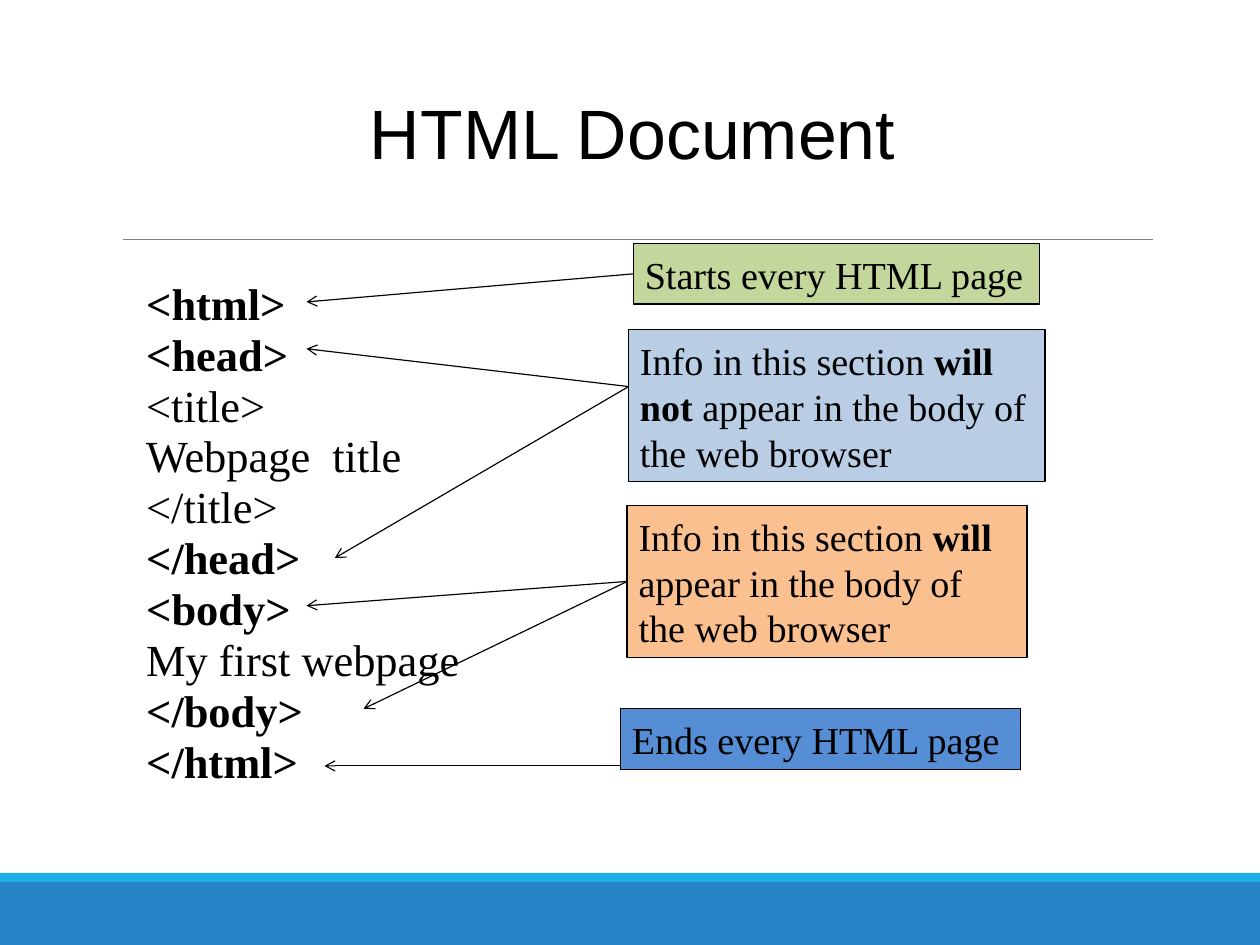
from pptx import Presentation
from pptx.dml.color import RGBColor
from pptx.enum.shapes import MSO_CONNECTOR, MSO_SHAPE
from pptx.enum.text import MSO_ANCHOR, MSO_AUTO_SIZE, PP_ALIGN
from pptx.oxml.ns import qn
from pptx.util import Cm, Pt
from lxml.etree import SubElement

COLORS = {
    "text": "000000", "rule": "7F7F7F", "band": "2683C6", "stripe": "1CADE4",
    "start": "C3D69B", "head": "B9CDE5", "body": "FAC090", "end": "558ED5",
}
WIDTH, HEIGHT = 28, 21
SERIF = "Times New Roman"

HTML_LINES = [
    ("<html>", True), ("<head>", True), ("<title>", False),
    ("Webpage  title", False), ("</title>", False), ("</head>", True),
    ("<body>", True), ("My first webpage", False), ("</body>", True),
    ("</html>", True),
]

# Box, colour, (text, bold) pieces, arrow start height (None: middle), arrow tips
NOTES = [
    ((14.08, 5.41, 9.02, 1.35), "start", [("Starts every HTML page", False)],
     None, [(6.81, 6.71)]),
    ((13.97, 7.32, 9.25, 3.38), "head",
     [("Info in this section ", False), ("will not ", True),
      ("appear in the body of the web browser", False)],
     8.59, [(6.81, 7.75), (7.44, 12.4)]),
    ((13.94, 11.23, 8.89, 3.38), "body",
     [("Info in this section ", False), ("will", True),
      (" appear in the body of the web browser", False)],
     None, [(6.81, 13.46), (8.08, 15.75)]),
    ((13.79, 15.75, 8.89, 1.35), "end", [("Ends every HTML page", False)],
     17.02, [(7.21, 17.02)]),
]


def rgb(name):
    return RGBColor.from_string(COLORS[name])


def style_run(run, font, size, bold=False):
    run.font.name = font
    run.font.size = Pt(size)
    run.font.bold = bold
    run.font.color.rgb = rgb("text")


def set_insets(frame, left, top, right, bottom):
    frame.margin_left, frame.margin_top = Cm(left), Cm(top)
    frame.margin_right, frame.margin_bottom = Cm(right), Cm(bottom)


def add_block(slide, box, color):
    block = slide.shapes.add_shape(MSO_SHAPE.RECTANGLE, *map(Cm, box))
    block.shadow.inherit = False
    block.fill.solid()
    block.fill.fore_color.rgb = rgb(color)
    block.line.fill.background()
    return block


def add_line(slide, start, tip, color, weight):
    line = slide.shapes.add_connector(MSO_CONNECTOR.STRAIGHT, *map(Cm, start + tip))
    line.line.color.rgb = rgb(color)
    line.line.width = Pt(weight)
    SubElement(line._element.spPr, qn("a:effectLst"))
    return line


def add_footer(slide, top, stripe_height):
    band_top = top + stripe_height
    add_block(slide, (0, band_top, WIDTH, HEIGHT - band_top), "band")
    add_block(slide, (0, top, WIDTH, stripe_height), "stripe")


def add_heading(slide, box, text):
    """Centred title with the thin rule below it."""
    left, top, width, height = box
    frame = slide.shapes.add_textbox(*map(Cm, box)).text_frame
    frame.word_wrap = True
    frame.vertical_anchor = MSO_ANCHOR.BOTTOM
    frame.text = text
    heading = frame.paragraphs[0]
    heading.alignment = PP_ALIGN.CENTER
    heading.line_spacing = 0.85
    style_run(heading.runs[0], "Arial", 44)
    rule_y = top + height + 1.33
    add_line(slide, (left + 0.23, rule_y), (left + width, rule_y), "rule", 0.5)


def add_html_source(slide, box, lines):
    frame = slide.shapes.add_textbox(*map(Cm, box)).text_frame
    frame.word_wrap = True
    set_insets(frame, 0.25, 0.36, 0.25, 0.13)
    frame.text = "\n".join(text for text, _ in lines)
    for paragraph, (_, bold) in zip(frame.paragraphs, lines):
        paragraph.line_spacing = 0.75
        paragraph.space_before = Pt(6.8)
        style_run(paragraph.runs[0], SERIF, 28, bold)


def add_note(slide, box, color, pieces):
    note = add_block(slide, box, color)
    note.line.color.rgb = rgb("text")
    note.line.width = Pt(1)
    frame = note.text_frame
    frame.word_wrap = True
    frame.auto_size = MSO_AUTO_SIZE.SHAPE_TO_FIT_TEXT
    frame.vertical_anchor = MSO_ANCHOR.TOP
    set_insets(frame, 0.25, 0.18, 0.25, 0.13)
    paragraph = frame.paragraphs[0]
    paragraph.alignment = PP_ALIGN.LEFT
    for text, bold in pieces:
        run = paragraph.add_run()
        run.text = text
        style_run(run, SERIF, 24, bold)
    return note


def add_arrows(slide, note, box, start_y, tips):
    """Arrows from the note's left side to the tags it explains."""
    left, top, _, height = box
    for tip in tips:
        start = (left, start_y or top + height / 2)
        arrow = add_line(slide, start, tip, "text", 0.75)
        if start_y is None:
            arrow.begin_connect(note, 1)
        SubElement(arrow.line._get_or_add_ln(), qn("a:tailEnd"), type="arrow")


def main():
    deck = Presentation()
    deck.slide_width, deck.slide_height = Cm(WIDTH), Cm(HEIGHT)
    slide = deck.slides.add_slide(deck.slide_layouts[6])
    add_footer(slide, 19.4, 0.2)
    add_heading(slide, (2.51, 0.89, 23.11, 3.1), "HTML Document")
    add_html_source(slide, (3, 6.05, 9.14, 11.86), HTML_LINES)
    notes = [add_note(slide, box, color, pieces) for box, color, pieces, _, _ in NOTES]
    for note, (box, _, _, start_y, tips) in zip(notes, NOTES):
        add_arrows(slide, note, box, start_y, tips)
    deck.save("out.pptx")


if __name__ == "__main__":
    main()
